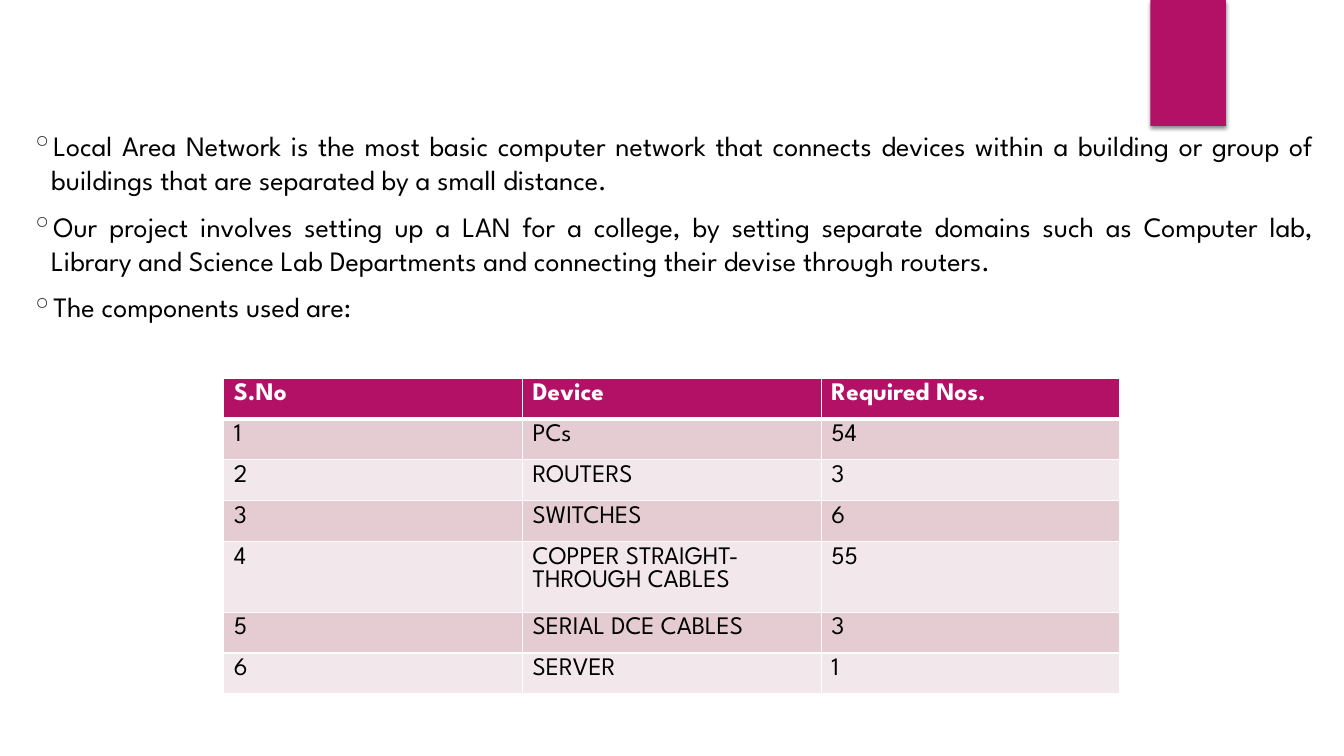
from dataclasses import dataclass

from lxml import etree
from pptx import Presentation, util as u
from pptx.dml import color
from pptx.enum import shapes, text
from pptx.oxml import ns

FONT = "League Spartan"
COLORS = {
    "accent": "B31166",
    "band_dark": "E5CCD3",
    "band_light": "F2E7EA",
    "white": "FFFFFF",
    "black": "000000",
    "bullet": "262626",
}


@dataclass
class RowStyle:
    fill: str
    font_color: str
    bold: bool = False
    bottom_border: float = 1


HEADER = RowStyle("accent", "white", True, 3)
BANDS = [RowStyle("band_dark", "black"), RowStyle("band_light", "black")]

BULLETS = [
    "Local Area Network is the most basic computer network that connects devices "
    "within a building or group of buildings that are separated by a small distance.",
    "Our project involves setting up a LAN for a college, by setting separate domains "
    "such as Computer lab, Library and Science Lab Departments and connecting their "
    "devise through routers.",
    "The components used are:",
]
COLUMNS = ["S.No", "Device", "Required Nos."]
DEVICES = [
    ("PCs", 54),
    ("ROUTERS", 3),
    ("SWITCHES", 6),
    ("COPPER STRAIGHT-THROUGH CABLES", 55),
    ("SERIAL DCE CABLES", 3),
    ("SERVER", 1),
]


def rgb(name: str) -> color.RGBColor:
    return color.RGBColor.from_string(COLORS[name])


def set_all(target, values: dict) -> None:
    for name, value in values.items():
        setattr(target, name, value)


def add_child(parent, tag: str, **attributes):
    return etree.SubElement(parent, ns.qn(tag), attributes)


def add_color(parent, name: str):
    return add_child(parent, "a:srgbClr", val=COLORS[name])


def write(paragraph, content: str, size: float, font_color: str, bold: bool = False) -> None:
    run = paragraph.add_run()
    run.text = content
    set_all(run.font, {"name": FONT, "size": u.Pt(size), "bold": bold})
    run.font.color.rgb = rgb(font_color)


def add_tab(slide) -> None:
    tab = slide.shapes.add_shape(shapes.MSO_SHAPE.RECTANGLE, u.Inches(11.41), 0,
                                 u.Inches(0.75), u.Inches(1.25))
    tab.fill.solid()
    tab.fill.fore_color.rgb = rgb("accent")
    tab.line.fill.background()
    tab.shadow.inherit = False
    effects = tab.element.spPr.find(ns.qn("a:effectLst"))
    shadow = add_child(effects, "a:outerShdw", blurRad=str(u.Pt(3)), dist=str(u.Pt(2)),
                       dir="5400000", algn="ctr", rotWithShape="0")
    add_child(add_color(shadow, "black"), "a:alpha", val="45000")


def add_bullets(slide) -> None:
    box = slide.shapes.add_textbox(u.Inches(0.21), u.Inches(1.27),
                                   u.Inches(12.92), u.Inches(2.1))
    frame = box.text_frame
    set_all(frame, {"word_wrap": True, "margin_top": 0, "margin_bottom": 0})
    for index, content in enumerate(BULLETS):
        paragraph = frame.add_paragraph() if index else frame.paragraphs[0]
        set_all(paragraph, {"alignment": text.PP_ALIGN.JUSTIFY,
                            "line_spacing": u.Pt(24.3), "space_after": u.Pt(9)})
        write(paragraph, content, 20, "black")
        properties = paragraph._p.get_or_add_pPr()
        properties.set("marL", str(u.Inches(0.2)))
        properties.set("indent", str(-u.Inches(0.2)))
        add_color(add_child(properties, "a:buClr"), "bullet")
        add_child(properties, "a:buChar", char="\u25e6")


def style_cell(cell, content: str, style: RowStyle, top_border: float) -> None:
    write(cell.text_frame.paragraphs[0], content, 18, style.font_color, style.bold)
    properties = cell._tc.get_or_add_tcPr()
    widths = {"L": 1, "R": 1, "T": top_border, "B": style.bottom_border}
    for side, width in widths.items():
        line = add_child(properties, f"a:ln{side}", w=str(u.Pt(width)))
        add_color(add_child(line, "a:solidFill"), "white")
    cell.fill.solid()
    cell.fill.fore_color.rgb = rgb(style.fill)


def add_device_table(slide) -> None:
    rows = [COLUMNS] + [(number, *device) for number, device in enumerate(DEVICES, 1)]
    table = slide.shapes.add_table(len(rows), len(COLUMNS), u.Inches(2.22), u.Inches(3.75),
                                   u.Inches(8.89), u.Inches(2.84)).table
    top_border = 1
    for row_index, row in enumerate(rows):
        style = BANDS[(row_index - 1) % 2] if row_index else HEADER
        for column_index, value in enumerate(row):
            style_cell(table.cell(row_index, column_index), str(value), style, top_border)
        top_border = style.bottom_border


presentation = Presentation()
set_all(presentation, {"slide_width": u.Inches(13.33), "slide_height": u.Inches(7.5)})
slide = presentation.slides.add_slide(presentation.slide_layouts[6])

# Corner tab, introduction, device list
add_tab(slide)
add_bullets(slide)
add_device_table(slide)

presentation.save("out.pptx")
